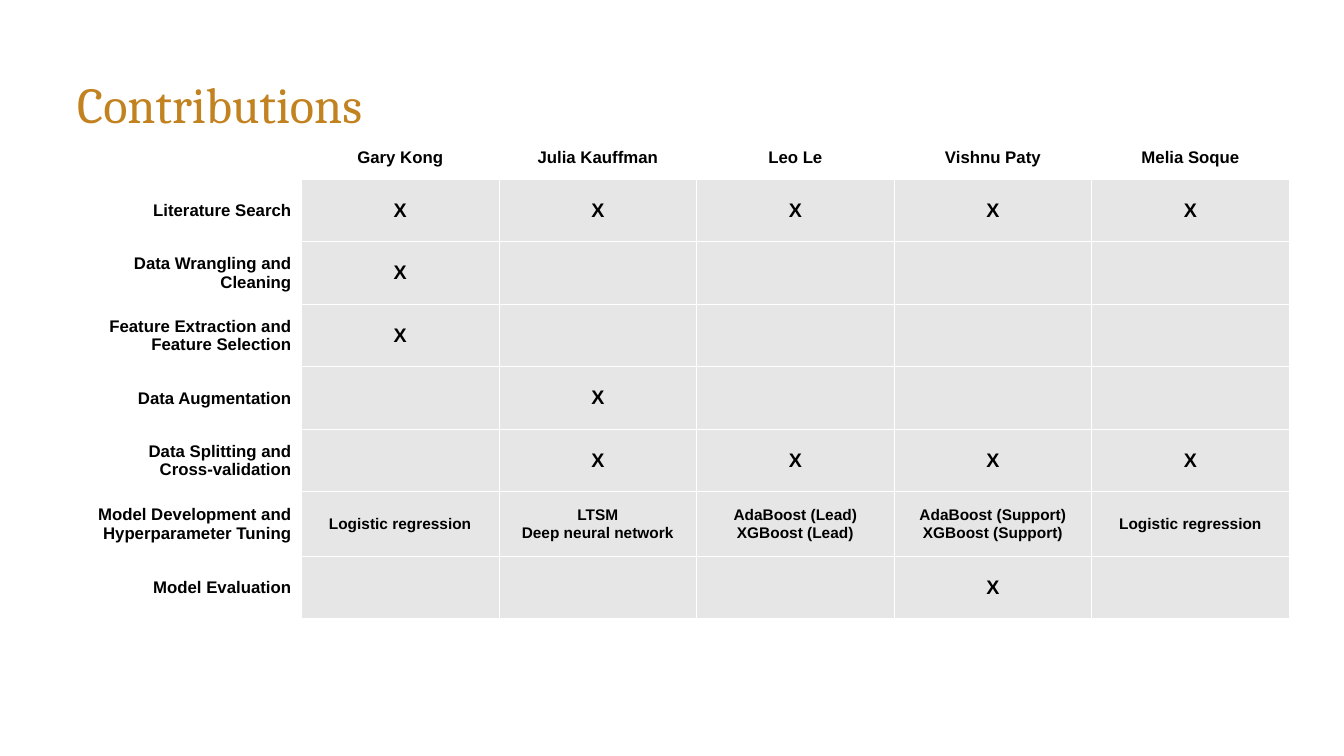
import pptx
import pptx.dml.color
import pptx.enum.text
import pptx.oxml
import pptx.oxml.ns
import pptx.util

GOLD = pptx.dml.color.RGBColor(0xC2, 0x82, 0x20)
BLACK = pptx.dml.color.RGBColor(0x00, 0x00, 0x00)
WHITE = pptx.dml.color.RGBColor(0xFF, 0xFF, 0xFF)
GREY = pptx.dml.color.RGBColor(0xE7, 0xE6, 0xE6)

ALIGN = pptx.enum.text.PP_ALIGN
MIDDLE = pptx.enum.text.MSO_ANCHOR.MIDDLE

MEMBERS = ["Gary Kong", "Julia Kauffman", "Leo Le", "Vishnu Paty", "Melia Soque"]
TASKS = [
    ("Literature Search", ["X", "X", "X", "X", "X"]),
    ("Data Wrangling and Cleaning", ["X", "", "", "", ""]),
    ("Feature Extraction and Feature Selection", ["X", "", "", "", ""]),
    ("Data Augmentation", ["", "X", "", "", ""]),
    ("Data Splitting and\vCross-validation", ["", "X", "X", "X", "X"]),
    ("Model Development and Hyperparameter Tuning", [
        "Logistic regression",
        "LTSM\nDeep neural network",
        "AdaBoost (Lead)\nXGBoost (Lead)",
        "AdaBoost (Support)\nXGBoost (Support)",
        "Logistic regression",
    ]),
    ("Model Evaluation", ["", "", "", "X", ""]),
]


class Composer:
    """Holds the style and current page; lengths are percentages of the page."""

    heading_font = "Cambria"
    body_font = "Arial"
    cell_margin = pptx.util.Inches(0.1)
    border_width = pptx.util.Pt(0.75)

    def __init__(self, deck):
        self.deck = deck
        self.page = deck.slides.add_slide(deck.slide_layouts[6])
        self.page.background.fill.solid()
        self.page.background.fill.fore_color.rgb = WHITE

    def across(self, percent):
        return round(self.deck.slide_width * percent / 100)

    def down(self, percent):
        return round(self.deck.slide_height * percent / 100)

    def set_text(self, frame, text, font, size, color, align, bold=False):
        frame.text = text
        for para in frame.paragraphs:
            para.alignment = align
            for span in para.runs:
                span.font.name = font
                span.font.size = pptx.util.Pt(size)
                span.font.bold = bold
                span.font.color.rgb = color

    def title(self, text, left, top, width, height):
        box = self.page.shapes.add_textbox(
            self.across(left), self.down(top), self.across(width), self.down(height))
        box.text_frame.word_wrap = True
        box.text_frame.vertical_anchor = MIDDLE
        self.set_text(box.text_frame, text, self.heading_font, 36, GOLD, ALIGN.LEFT)

    def table(self, left, top, widths, heights):
        frame = self.page.shapes.add_table(
            len(heights), len(widths), self.across(left), self.down(top),
            self.across(sum(widths)), self.down(sum(heights)))
        table = frame.table
        table.first_row = table.horz_banding = False
        for column, width in zip(table.columns, widths):
            column.width = self.across(width)
        for row, height in zip(table.rows, heights):
            row.height = self.down(height)
        return table

    def cell(self, cell, text, size, align, fill=None):
        self.borders(cell)
        if fill is None:
            cell.fill.background()
        else:
            cell.fill.solid()
            cell.fill.fore_color.rgb = fill
        cell.vertical_anchor = MIDDLE
        if text:
            cell.margin_left = cell.margin_right = self.cell_margin
            cell.margin_top = cell.margin_bottom = self.cell_margin
            self.set_text(cell.text_frame, text, self.body_font, size, BLACK, align, bold=True)

    def borders(self, cell):
        properties = cell._tc.get_or_add_tcPr()
        for side in ("lnL", "lnR", "lnT", "lnB"):
            properties.append(pptx.oxml.parse_xml(
                f'<a:{side} {pptx.oxml.ns.nsdecls("a")} w="{self.border_width}">'
                f'<a:solidFill><a:srgbClr val="{WHITE}"/></a:solidFill></a:{side}>'))


def main():
    deck = pptx.Presentation()
    deck.slide_width = pptx.util.Inches(13.33)
    deck.slide_height = pptx.util.Inches(7.5)
    composer = Composer(deck)

    # Heading
    composer.title("Contributions", left=5, top=5.33, width=89.8, height=16.8)

    # Grid: task labels on the left, one column per member
    table = composer.table(
        left=3.68, top=18,
        widths=[18.75] + [14.7] * len(MEMBERS),
        heights=[5.73] + [8.27] * 5 + [8.53, 8.27])

    # Header row
    for column, name in enumerate([""] + MEMBERS):
        composer.cell(table.cell(0, column), name, 12, ALIGN.CENTER)

    # Task rows: marks are larger than written contributions
    for row, (task, entries) in enumerate(TASKS, start=1):
        composer.cell(table.cell(row, 0), task, 12, ALIGN.RIGHT)
        for column, entry in enumerate(entries, start=1):
            size = 14 if entry == "X" else 11
            composer.cell(table.cell(row, column), entry, size, ALIGN.CENTER, GREY)

    deck.save("out.pptx")


if __name__ == "__main__":
    main()
